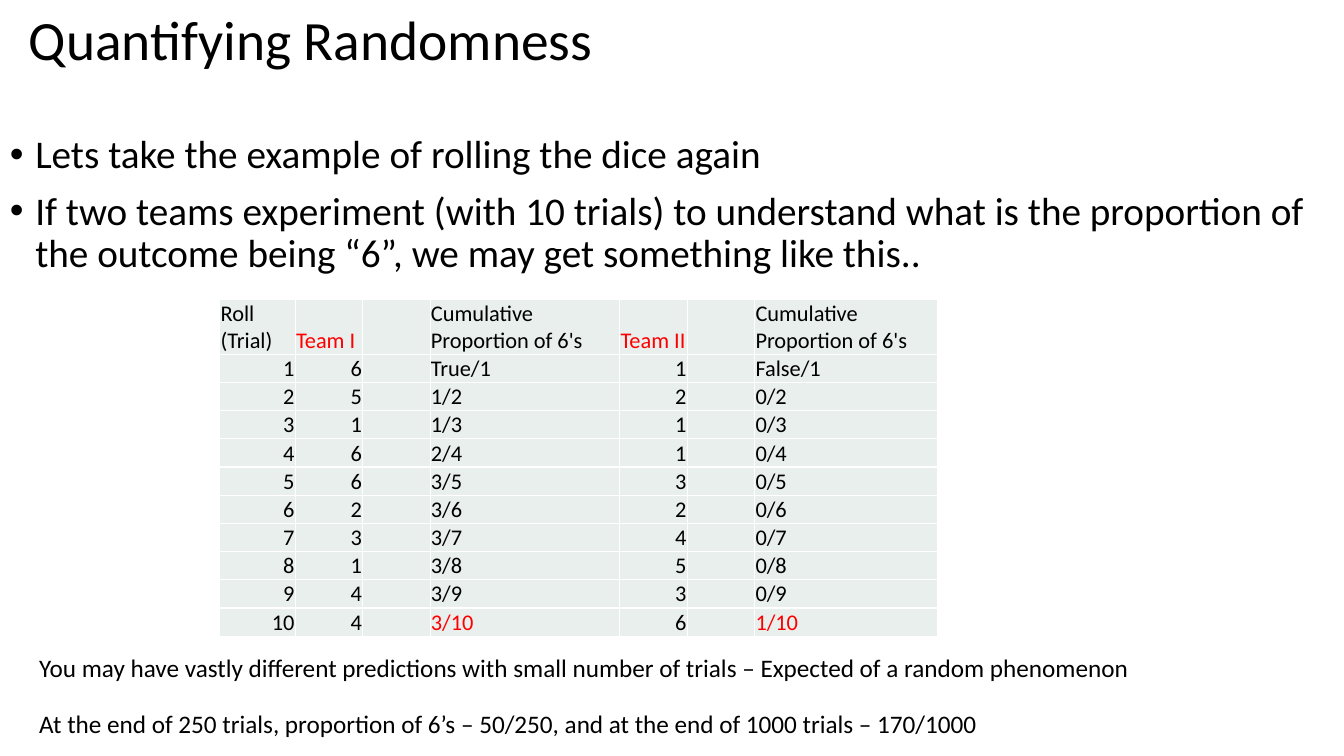
from itertools import accumulate

from lxml.etree import SubElement
from pptx import Presentation
from pptx.dml.color import RGBColor
from pptx.enum.text import MSO_ANCHOR as Anchor, PP_ALIGN as Align
from pptx.oxml.ns import qn
from pptx.util import Cm, Pt

FONT = "Calibri"
BLACK, RED, WHITE, PALE_GREEN = "000000", "FF0000", "FFFFFF", "E8EFEC"
TABLE_SIZE = 16

TEAM_1_ROLLS = [6, 5, 1, 6, 6, 2, 3, 1, 4, 4]
TEAM_2_ROLLS = [1, 2, 1, 1, 3, 2, 4, 5, 3, 6]
PROPORTION = "Cumulative Proportion of 6's"
HEADINGS = ["Roll (Trial)", "Team I", "", PROPORTION, "Team II", "", PROPORTION]
COLUMN_WIDTHS = [1.9, 1.7, 1.7, 4.78, 1.7, 1.7, 4.62]
PROPORTION_COLUMNS = (3, 6)
HEADER_HEIGHT, ROW_HEIGHT = 1.39, 0.71

BULLETS = [
    "Lets take the example of rolling the dice again",
    "If two teams experiment (with 10 trials) to understand what is the "
    "proportion of the outcome being “6”, we may get something like this..",
]
NOTES = [
    "You may have vastly different predictions with small number of trials "
    "– Expected of a random phenomenon",
    "At the end of 250 trials, proportion of 6’s – 50/250, and at the end of "
    "1000 trials – 170/1000",
]


def rgb(value):
    return RGBColor.from_string(value)


def add_run(paragraph, text, size, color=BLACK):
    run = paragraph.add_run()
    run.text = text
    run.font.name = FONT
    run.font.size = Pt(size)
    run.font.color.rgb = rgb(color)


def add_frame(slide, left, top, width, height):
    frame = slide.shapes.add_textbox(Cm(left), Cm(top), Cm(width), Cm(height)).text_frame
    frame.word_wrap = True
    return frame


def add_title(slide, left, top, width, height):
    frame = add_frame(slide, left, top, width, height)
    frame.vertical_anchor = Anchor.MIDDLE
    frame.paragraphs[0].line_spacing = 0.9
    add_run(frame.paragraphs[0], "Quantifying Randomness", 39.6)


def add_bullets(slide, left, top, width, height):
    frame = add_frame(slide, left, top, width, height)
    for index, text in enumerate(BULLETS):
        paragraph = frame.add_paragraph() if index else frame.paragraphs[0]
        paragraph.line_spacing = 0.9
        paragraph.space_before = Pt(10)
        properties = paragraph._p.get_or_add_pPr()
        properties.set("marL", str(Cm(0.64)))
        properties.set("indent", str(Cm(-0.64)))
        SubElement(properties, qn("a:buFont"), typeface="Arial")
        SubElement(properties, qn("a:buChar"), char="•")
        add_run(paragraph, text, 28)


def cumulative_proportions(rolls):
    sixes = accumulate(roll == 6 for roll in rolls)
    return [f"{count}/{trial}" for trial, count in enumerate(sixes, 1)]


def trial_rows():
    columns = zip(
        TEAM_1_ROLLS, cumulative_proportions(TEAM_1_ROLLS),
        TEAM_2_ROLLS, cumulative_proportions(TEAM_2_ROLLS),
    )
    return [
        [str(trial), str(roll_1), "", share_1, str(roll_2), "", share_2]
        for trial, (roll_1, share_1, roll_2, share_2) in enumerate(columns, 1)
    ]


def style_cell(cell):
    """Give a cell its thin margins, white borders and pale fill."""
    cell.vertical_anchor = Anchor.BOTTOM
    cell.margin_left = cell.margin_right = cell.margin_top = Cm(0.02)
    cell.margin_bottom = 0
    properties = cell._tc.get_or_add_tcPr()
    for side in ("lnL", "lnR", "lnT", "lnB"):
        border = SubElement(properties, qn(f"a:{side}"), w=str(Pt(1)))
        SubElement(SubElement(border, qn("a:solidFill")), qn("a:srgbClr"), val=WHITE)
    cell.fill.solid()
    cell.fill.fore_color.rgb = rgb(PALE_GREEN)


def fill_cell(cell, text, color, align):
    style_cell(cell)
    paragraph = cell.text_frame.paragraphs[0]
    paragraph.alignment = align
    if text:
        add_run(paragraph, text, TABLE_SIZE, color)
    else:
        SubElement(paragraph._p, qn("a:endParaRPr"), sz=str(TABLE_SIZE * 100))


def add_trials_table(slide, left, top):
    rows = [HEADINGS] + trial_rows()
    heights = [HEADER_HEIGHT] + [ROW_HEIGHT] * (len(rows) - 1)
    table = slide.shapes.add_table(
        len(rows), len(HEADINGS), Cm(left), Cm(top),
        Cm(sum(COLUMN_WIDTHS)), Cm(sum(heights)),
    ).table
    table.first_row = table.horz_banding = False
    for column, width in zip(table.columns, COLUMN_WIDTHS):
        column.width = Cm(width)
    for row, height in zip(table.rows, heights):
        row.height = Cm(height)
    last = len(rows) - 1
    for r, texts in enumerate(rows):
        for c, text in enumerate(texts):
            is_final_share = r == last and c in PROPORTION_COLUMNS
            color = RED if text.startswith("Team") or is_final_share else BLACK
            is_number = r > 0 and c not in PROPORTION_COLUMNS
            fill_cell(table.cell(r, c), text, color, Align.RIGHT if is_number else Align.LEFT)


def add_notes(slide, left, top, width, pitch):
    for index, text in enumerate(NOTES):
        frame = add_frame(slide, left, top + index * pitch, width, 1.02)
        add_run(frame.paragraphs[0], text, 18)


def main():
    presentation = Presentation()
    presentation.slide_width, presentation.slide_height = Cm(33.87), Cm(19.05)
    slide = presentation.slides.add_slide(presentation.slide_layouts[6])
    add_title(slide, 0.48, 0.3, 29.21, 1.52)
    add_bullets(slide, 0, 3.28, 33.15, 5.46)
    add_trials_table(slide, 5.54, 7.54)
    add_notes(slide, 0.74, 16.31, 28.35, 1.42)
    presentation.save("out.pptx")


if __name__ == "__main__":
    main()
